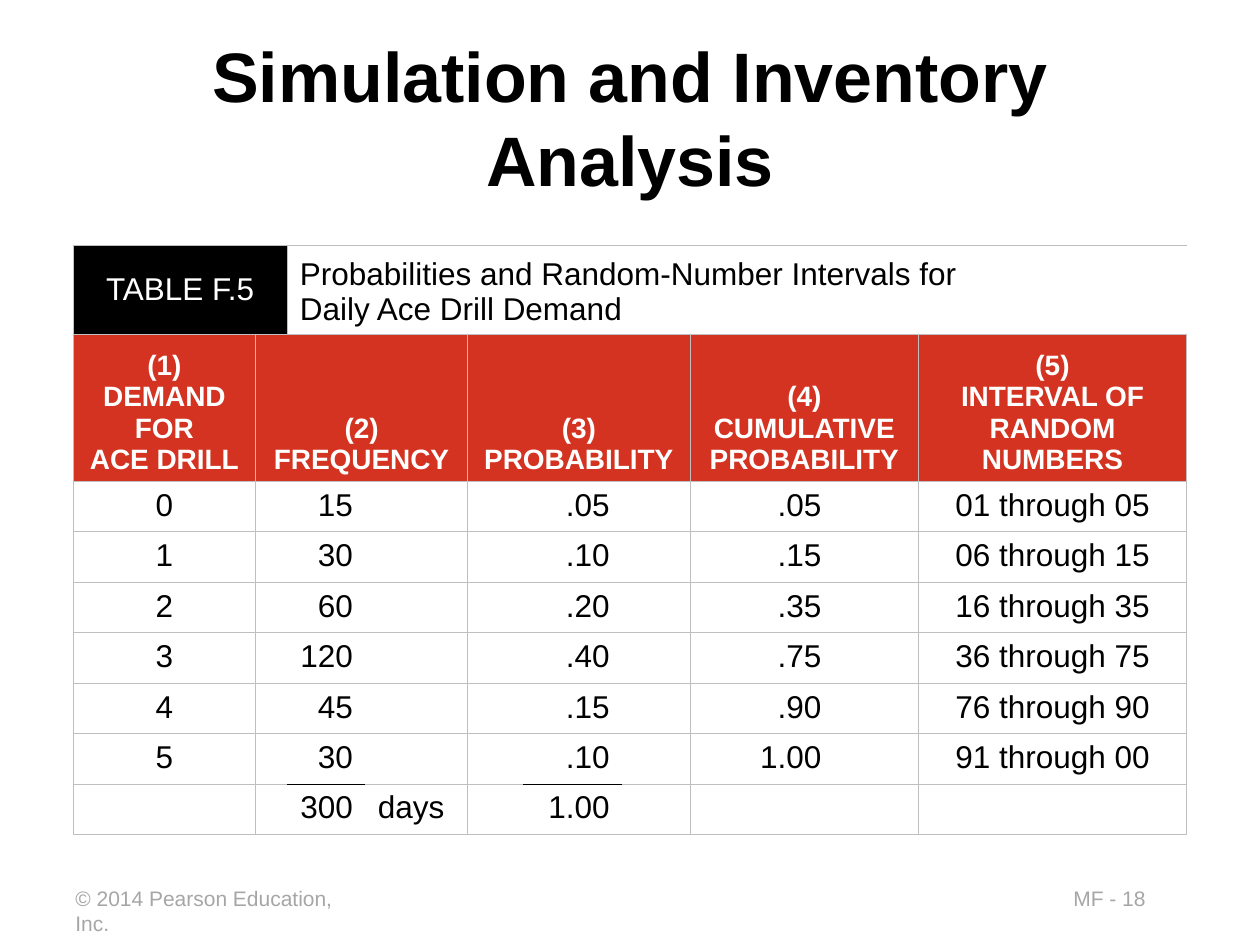
"""Build the slide on simulated daily drill demand."""
from dataclasses import dataclass
from typing import Optional

from lxml import etree
from pptx import Presentation
from pptx import util as u
from pptx.dml.color import RGBColor
from pptx.enum import text
from pptx.oxml.ns import qn


@dataclass(frozen=True)
class Theme:
    font: str = "Arial"
    ink: str = "000000"
    paper: str = "FFFFFF"
    accent: str = "D33320"
    rule: str = "BFBFBF"
    muted: str = "A6A6A6"
    title_size: float = 40
    body_size: float = 18
    head_size: float = 16
    foot_size: float = 12
    rule_width: float = 0.45


@dataclass(frozen=True)
class Style:
    size: float
    color: str
    bold: bool = False
    align: text.PP_ALIGN = text.PP_ALIGN.LEFT
    anchor: text.MSO_ANCHOR = text.MSO_ANCHOR.TOP
    fill: Optional[str] = None
    tab: Optional[float] = None


@dataclass(frozen=True)
class Label:
    wording: str
    left: float
    top: float
    width: float
    height: float
    style: Style
    wrap: bool = False


@dataclass(frozen=True)
class Entry:
    row: int
    column: int
    wording: str
    style: Style
    span: int = 1


THEME = Theme()
WIDTH, HEIGHT = 10, 7.5
COLUMNS = (1.45, 0.25, 0.62, 0.81, 0.44, 0.79, 0.54, 1.81, 2.13)
ROWS = (0.7, 1.17) + (0.4,) * 7
TABLE_LEFT, TABLE_TOP = 0.058, 0.26
CENTER, RIGHT = text.PP_ALIGN.CENTER, text.PP_ALIGN.RIGHT
MIDDLE, BOTTOM = text.MSO_ANCHOR.MIDDLE, text.MSO_ANCHOR.BOTTOM

TITLE = Style(THEME.title_size, THEME.ink, True, CENTER, MIDDLE)
FOOT = Style(THEME.foot_size, THEME.muted)
TAG = Style(THEME.body_size, THEME.paper, False, CENTER, MIDDLE, THEME.ink)
CAPTION = Style(THEME.body_size, THEME.ink, anchor=BOTTOM)
HEAD = Style(THEME.head_size, THEME.paper, True, CENTER, BOTTOM, THEME.accent)
PLAIN = Style(THEME.body_size, THEME.ink)
CENTERED = Style(THEME.body_size, THEME.ink, align=CENTER)
NUMBER = Style(THEME.body_size, THEME.ink, align=RIGHT)
TABBED = Style(THEME.body_size, THEME.ink, tab=0.94)

LABELS = (
    Label("Simulation and Inventory Analysis", 0.05, 0.04, 0.9, 0.167, TITLE, True),
    Label("© 2014 Pearson Education, Inc.", 0.05, 0.93, 0.255, 0.04, FOOT),
    Label("MF - 18", 0.842, 0.93, 0.135, 0.04, FOOT),
)
HEADINGS = (
    (0, 1, "(1)\vDEMAND FOR\nACE DRILL"),
    (1, 3, "(2)\vFREQUENCY"),
    (4, 3, "(3)\vPROBABILITY"),
    (7, 1, "(4)\vCUMULATIVE\nPROBABILITY"),
    (8, 1, "(5)\vINTERVAL OF\nRANDOM NUMBERS"),
)
BODY_COLUMNS = ((0, CENTERED), (2, NUMBER), (5, NUMBER), (7, TABBED), (8, CENTERED))
BODY = (
    ("0", "15", ".05", "\t.05", "01 through 05"),
    ("1", "30", ".10", "\t.15", "06 through 15"),
    ("2", "60", ".20", "\t.35", "16 through 35"),
    ("3", "120", ".40", "\t.75", "36 through 75"),
    ("4", "45", ".15", "\t.90", "76 through 90"),
    ("5", "30", ".10", "\t1.00", "91 through 00"),
    ("", "300", "1.00", "", ""),
)
CAPTION_STARTS = {0, 2, 9}
BODY_STARTS = {start for start, _, _ in HEADINGS} | {9}
SUM_COLUMNS = {2, 5}
SUM_ROW = len(ROWS) - 1


def write(frame, wording: str, style: Style) -> None:
    """Fill a text frame and style its paragraphs."""
    frame.text = wording
    for para in frame.paragraphs:
        para.alignment = style.align
        if style.tab:
            tabs = etree.SubElement(para._p.get_or_add_pPr(), qn("a:tabLst"))
            etree.SubElement(tabs, qn("a:tab"), pos=str(u.Inches(style.tab)), algn="r")
        para.font.name = THEME.font
        para.font.size = u.Pt(style.size)
        para.font.bold = style.bold
        para.font.color.rgb = RGBColor.from_string(style.color)


def draw_label(page, label: Label) -> None:
    """Place a text box given in shares of the slide."""
    box = page.shapes.add_textbox(
        u.Inches(label.left * WIDTH), u.Inches(label.top * HEIGHT),
        u.Inches(label.width * WIDTH), u.Inches(label.height * HEIGHT))
    box.text_frame.word_wrap = label.wrap
    box.text_frame.vertical_anchor = label.style.anchor
    write(box.text_frame, label.wording, label.style)


def draw_edge(cell, side: str, color: Optional[str]) -> None:
    """Rule one side of a cell, or leave it open."""
    line = etree.SubElement(cell._tc.get_or_add_tcPr(), qn(f"a:ln{side}"),
                            w=str(u.Pt(THEME.rule_width)))
    if color is None:
        etree.SubElement(line, qn("a:noFill"))
    else:
        fill = etree.SubElement(line, qn("a:solidFill"))
        etree.SubElement(fill, qn("a:srgbClr"), val=color)


def rule_cell(cell, row: int, column: int) -> None:
    """Rule a cell at its group's ends and above the sums."""
    starts = BODY_STARTS if row else CAPTION_STARTS
    summed = column in SUM_COLUMNS
    draw_edge(cell, "L", THEME.rule if column in starts else None)
    draw_edge(cell, "R", THEME.rule if column + 1 in starts else None)
    draw_edge(cell, "T", THEME.ink if summed and row == SUM_ROW else THEME.rule)
    draw_edge(cell, "B", THEME.ink if summed and row == SUM_ROW - 1 else THEME.rule)
    cell.fill.background()


def draw_entry(table, entry: Entry) -> None:
    """Write one table entry, merged over its span."""
    cell = table.cell(entry.row, entry.column)
    if entry.span > 1:
        cell.merge(table.cell(entry.row, entry.column + entry.span - 1))
    cell.vertical_anchor = entry.style.anchor
    if entry.style.fill:
        cell.fill.solid()
        cell.fill.fore_color.rgb = RGBColor.from_string(entry.style.fill)
    write(cell.text_frame, entry.wording, entry.style)


def table_entries() -> list[Entry]:
    """List the caption, headings and figures of the table."""
    entries = [
        Entry(0, 0, "TABLE F.5", TAG, 2),
        Entry(0, 2, "Probabilities and Random-Number Intervals for\nDaily Ace Drill Demand", CAPTION, 7),
        Entry(SUM_ROW, 3, "days", PLAIN),
    ]
    entries += [Entry(1, start, wording, HEAD, span) for start, span, wording in HEADINGS]
    entries += [Entry(row, column, wording, style)
                for row, values in enumerate(BODY, 2)
                for (column, style), wording in zip(BODY_COLUMNS, values) if wording]
    return entries


def draw_table(page) -> None:
    """Draw the demand table on its grid."""
    table = page.shapes.add_table(
        len(ROWS), len(COLUMNS), u.Inches(TABLE_LEFT * WIDTH), u.Inches(TABLE_TOP * HEIGHT),
        u.Inches(sum(COLUMNS)), u.Inches(sum(ROWS))).table
    table.first_row = table.horz_banding = False
    for column, width in enumerate(COLUMNS):
        table.columns[column].width = u.Inches(width)
    for row, height in enumerate(ROWS):
        table.rows[row].height = u.Inches(height)
        for column in range(len(COLUMNS)):
            rule_cell(table.cell(row, column), row, column)
    for entry in table_entries():
        draw_entry(table, entry)


def main() -> None:
    """Build and save the deck."""
    deck = Presentation()
    deck.slide_width, deck.slide_height = u.Inches(WIDTH), u.Inches(HEIGHT)
    page = deck.slides.add_slide(deck.slide_layouts[6])
    for label in LABELS:
        draw_label(page, label)
    draw_table(page)
    deck.save("out.pptx")


if __name__ == "__main__":
    main()
